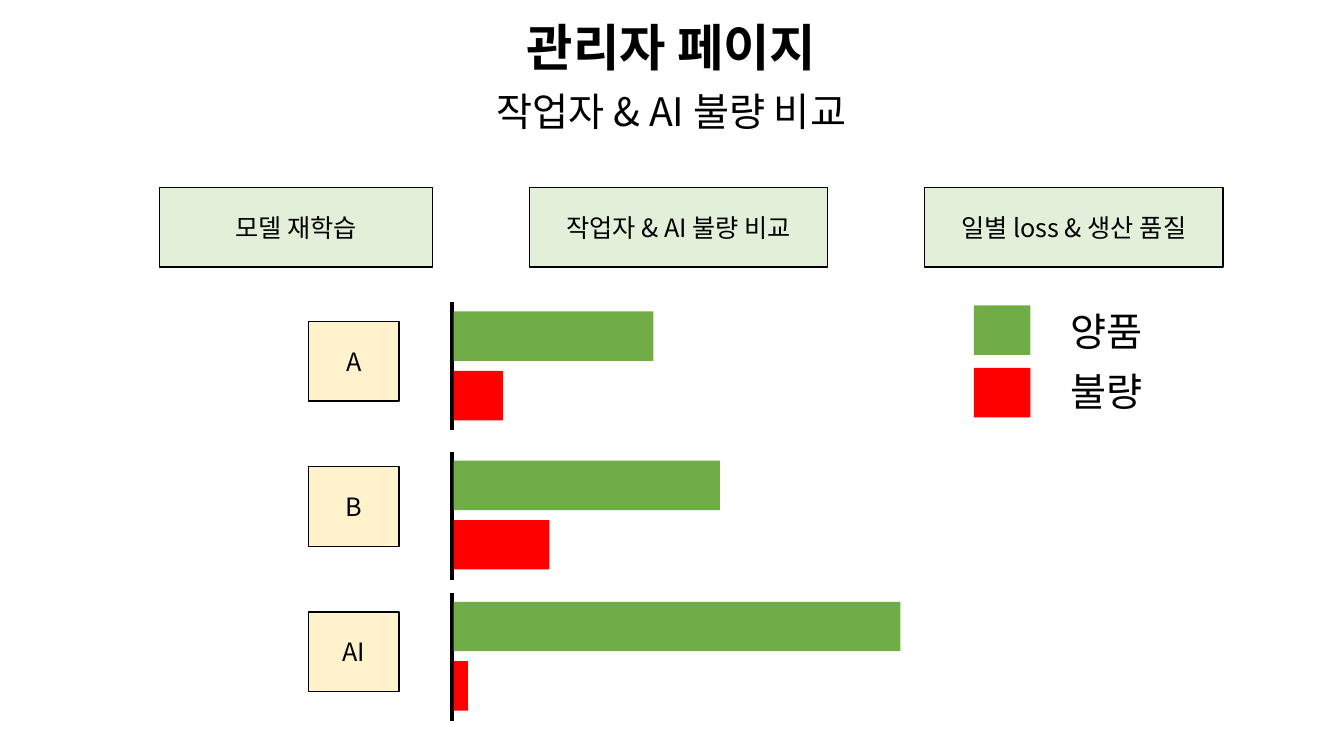
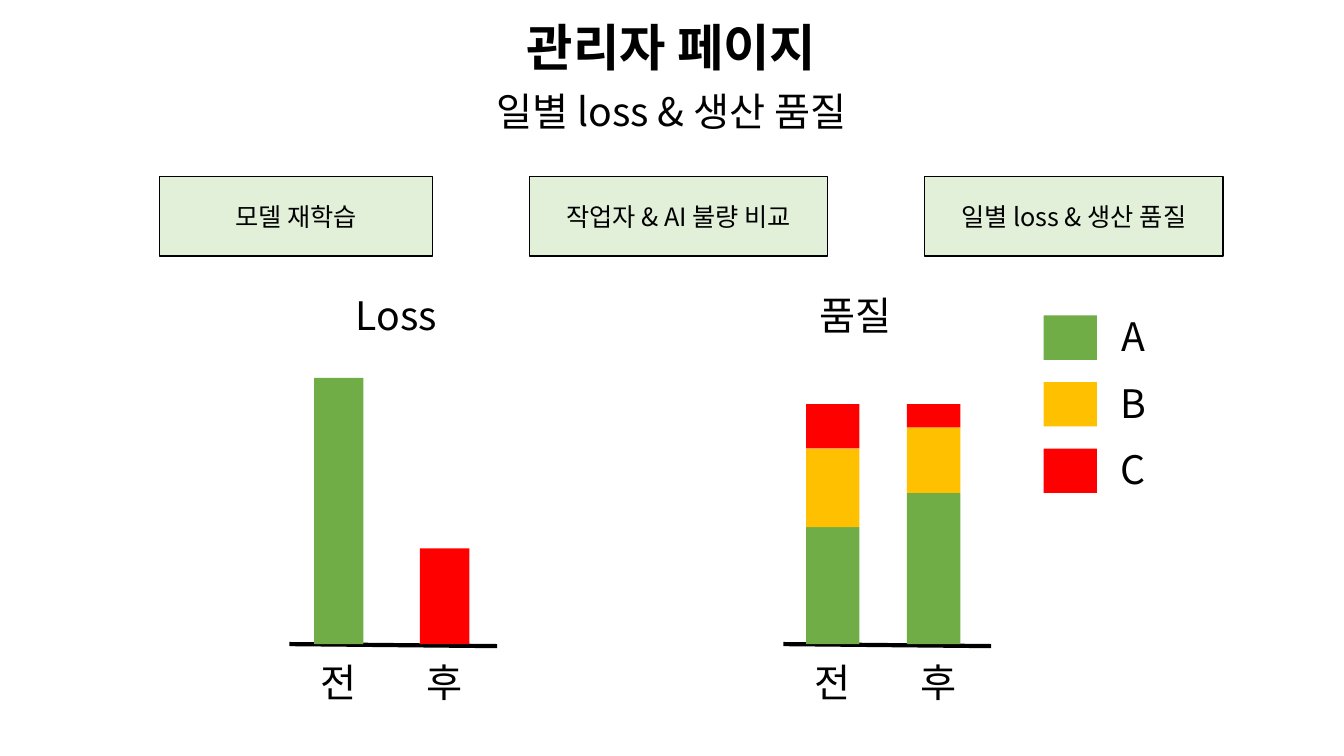
from collections import namedtuple

from lxml import etree
from pptx import Presentation
from pptx.dml.color import RGBColor
from pptx.enum.shapes import MSO_CONNECTOR, MSO_SHAPE
from pptx.enum.text import MSO_ANCHOR, MSO_AUTO_SIZE, PP_ALIGN
from pptx.oxml.ns import qn
from pptx.util import Inches, Pt

Box = namedtuple("Box", "left top width height")

FONT = "Noto Sans CJK KR"
COLORS = {
    "text": "000000",
    "tab": "E2F0D9",
    "worker": "FFF2CC",
    "green": "70AD47",
    "yellow": "FFC000",
    "red": "FF0000",
}
PAGE_TITLE = "관리자 페이지"
COMPARISON = "작업자 & AI 불량 비교"
DAILY = "일별 loss & 생산 품질"
TABS = [("모델 재학습", 2.71), (COMPARISON, 2.96), (DAILY, 2.96)]
TAB_LEFT, TAB_GAP, TAB_HEIGHT = 1.58, 0.96, 0.79
LABEL_HEIGHT = 0.57
BAR_THICKNESS = 0.49


def color(name):
    return RGBColor.from_string(COLORS[name])


def inches(values):
    return [Inches(value) for value in values]


def write(shape, text, size, bold=False, anchor=MSO_ANCHOR.TOP):
    """Put one centred line of text into a shape, text box or placeholder."""
    frame = shape.text_frame
    frame.word_wrap = True
    frame.vertical_anchor = anchor
    paragraph = frame.paragraphs[0]
    paragraph.alignment = PP_ALIGN.CENTER
    paragraph.space_before = Pt(0)
    run = paragraph.add_run()
    run.text = text
    run.font.name = FONT
    run.font.size = Pt(size)
    run.font.bold = bold
    run.font.color.rgb = color("text")
    east_asian = etree.SubElement(run.font._element, qn("a:ea"))
    east_asian.set("typeface", FONT)


def add_label(slide, box, text):
    label = slide.shapes.add_textbox(*inches(box))
    write(label, text, 28)
    label.text_frame.auto_size = MSO_AUTO_SIZE.SHAPE_TO_FIT_TEXT


def add_block(slide, box, fill):
    block = slide.shapes.add_shape(MSO_SHAPE.RECTANGLE, *inches(box))
    block.shadow.inherit = False
    block.fill.solid()
    block.fill.fore_color.rgb = color(fill)
    block.line.fill.background()
    return block


def add_button(slide, box, fill, text):
    button = add_block(slide, box, fill)
    button.line.color.rgb = color("text")
    button.line.width = Pt(1)
    write(button, text, 18, anchor=MSO_ANCHOR.MIDDLE)


def add_axis(slide, *ends):
    axis = slide.shapes.add_connector(MSO_CONNECTOR.STRAIGHT, *inches(ends))
    axis.line.color.rgb = color("text")
    axis.line.width = Pt(3)
    etree.SubElement(axis._element.spPr, qn("a:effectLst"))


def add_page(presentation, subtitle, tab_top):
    """Add a slide with the title, the subtitle and the row of tabs."""
    slide = presentation.slides.add_slide(presentation.slide_layouts[0])
    heading, subheading = slide.placeholders
    for placeholder, box, text, size, bold in (
        (heading, Box(2, 0.11, 9.32, 0.71), PAGE_TITLE, 36, True),
        (subheading, Box(2, 0.82, 9.32, LABEL_HEIGHT), subtitle, 28, False),
    ):
        (placeholder.left, placeholder.top,
         placeholder.width, placeholder.height) = inches(box)
        write(placeholder, text, size, bold)
        placeholder.text_frame.auto_size = MSO_AUTO_SIZE.NONE

    left = TAB_LEFT
    for text, width in TABS:
        add_button(slide, Box(left, tab_top, width, TAB_HEIGHT), "tab", text)
        left += width + TAB_GAP
    return slide


def add_legend(slide, entries, swatch, swatch_step, label, label_step):
    """Stack legend entries below the boxes of the first swatch and label."""
    for index, (text, fill) in enumerate(entries):
        swatch_top = swatch.top + index * swatch_step
        label_top = label.top + index * label_step
        add_block(slide, swatch._replace(top=swatch_top), fill)
        add_label(slide, label._replace(top=label_top), text)


def add_worker_row(slide, name, name_top, axis_top, good, defective):
    """Add a name box with its pair of horizontal bars."""
    axis_left, bar_left = 4.48, 4.5
    add_button(slide, Box(3.06, name_top, 0.9, 0.79), "worker", name)
    add_axis(slide, axis_left, axis_top, axis_left, axis_top + 1.27)
    for offset, length, fill in (
        (0.09, good, "green"),
        (0.68, defective, "red"),
    ):
        bar = Box(bar_left, axis_top + offset, length, BAR_THICKNESS)
        add_block(slide, bar, fill)


def add_column_chart(slide, axis_left, title, title_left,
                     columns, bar_width, bar_step):
    """Draw stacked columns, each a list of (height, fill) from the bottom."""
    axis_top, first_center, label_width, label_step = 6.39, 0.49, 0.74, 1.05
    add_label(slide, Box(title_left, 2.84, 1.73, LABEL_HEIGHT), title)
    add_axis(slide, axis_left, axis_top, axis_left + 2.06, axis_top + 0.02)
    center = axis_left + first_center
    for index, (name, parts) in enumerate(columns):
        top = axis_top
        bar_left = center + index * bar_step - bar_width / 2
        for height, fill in parts:
            top -= height
            add_block(slide, Box(bar_left, top, bar_width, height), fill)
        label_left = center + index * label_step - label_width / 2
        add_label(slide, Box(label_left, 6.48, label_width, LABEL_HEIGHT), name)


def build_comparison(presentation):
    slide = add_page(presentation, COMPARISON, 1.86)
    rows = [("A", 3, 1.98, 0.49), ("B", 4.48, 2.64, 0.95), ("AI", 5.88, 4.43, 0.14)]
    for index, (name, axis_top, good, defective) in enumerate(rows):
        add_worker_row(slide, name, 3.19 + index * 1.44, axis_top, good, defective)
    add_legend(slide, [("양품", "green"), ("불량", "red")],
               Box(9.66, 3.03, 0.56, 0.49), 0.62,
               Box(10.11, 3, 1.73, LABEL_HEIGHT), 0.59)


def build_daily(presentation):
    slide = add_page(presentation, DAILY, 1.75)
    loss = [("전", [(2.64, "green")]), ("후", [(0.95, "red")])]
    quality = [
        ("전", [(1.16, "green"), (0.78, "yellow"), (0.44, "red")]),
        ("후", [(1.5, "green"), (0.65, "yellow"), (0.23, "red")]),
    ]
    add_column_chart(slide, 2.87, "Loss ", 3.11, loss, BAR_THICKNESS, 1.05)
    add_column_chart(slide, 7.77, "품질 ", 7.66, quality, 0.53, 1)
    add_legend(slide, [("A", "green"), ("B", "yellow"), ("C", "red")],
               Box(10.35, 3.13, 0.53, 0.44), 0.66,
               Box(10.87, 3.05, 0.74, LABEL_HEIGHT), 0.66)


def main():
    presentation = Presentation()
    presentation.slide_width = Inches(13.33)
    presentation.slide_height = Inches(7.5)
    build_comparison(presentation)
    build_daily(presentation)
    presentation.save("out.pptx")


if __name__ == "__main__":
    main()
